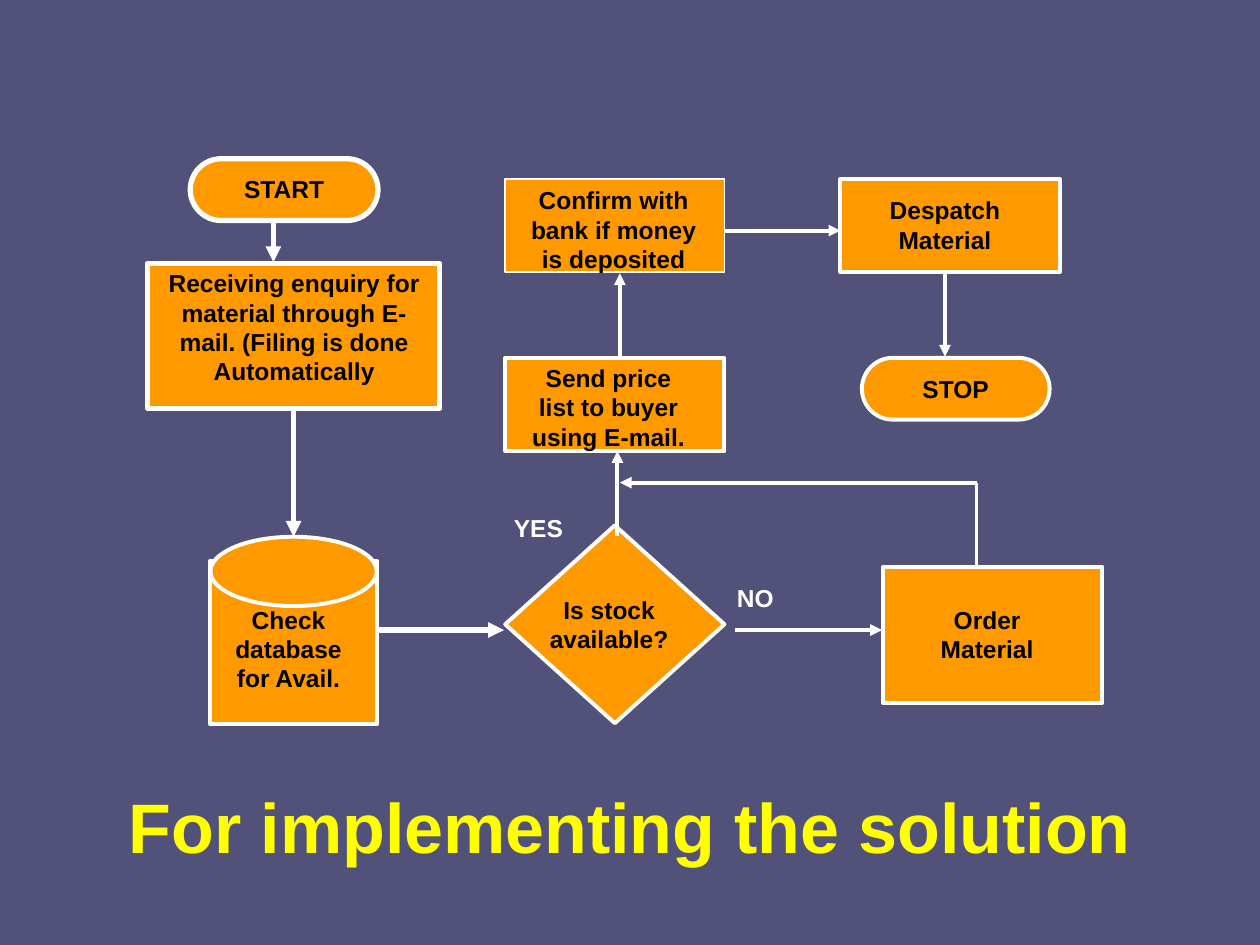
"""Build the order-handling flowchart slide."""
from lxml import etree
from pptx import Presentation, util as u
from pptx.dml.color import RGBColor
from pptx.enum import shapes, text
from pptx.oxml.ns import qn

COLOURS = {"ground": "515179", "node": "FF9900", "line": "FFFFFF",
           "label": "000000", "branch": "FFFFFF", "title": "FFFF00"}
COLUMNS, ROWS = 100, 75
KIND = shapes.MSO_SHAPE


class Flowchart:
    """Slide style and drawing methods, measured in grid columns and rows."""

    def __init__(self, deck):
        self.slide = deck.slides.add_slide(deck.slide_layouts[6])
        self.column = deck.slide_width / COLUMNS
        self.row = deck.slide_height / ROWS
        self.font = "Arial"
        self.paint(self.slide.background.fill, "ground")

    def paint(self, fill, colour):
        fill.solid()
        fill.fore_color.rgb = RGBColor.from_string(COLOURS[colour])

    def grid(self, x, y):
        return round(x * self.column), round(y * self.row)

    def node(self, kind, x, y, width, height, weight=2.25):
        shape = self.slide.shapes.add_shape(
            kind, *self.grid(x, y), *self.grid(width, height))
        shape.shadow.inherit = False
        self.paint(shape.fill, "node")
        self.paint(shape.line.fill, "line")
        shape.line.width = u.Pt(weight)
        if kind == KIND.ROUNDED_RECTANGLE:
            shape.adjustments[0] = 0.5
        return shape

    def label(self, words, x, y, width, height, colour="label", size=14,
              wrap=True):
        box = self.slide.shapes.add_textbox(
            *self.grid(x, y), *self.grid(width, height))
        frame = box.text_frame
        frame.word_wrap = wrap
        frame.auto_size = text.MSO_AUTO_SIZE.SHAPE_TO_FIT_TEXT
        frame.text = words
        paragraph = frame.paragraphs[0]
        paragraph.alignment = (text.PP_ALIGN.CENTER if wrap
                               else text.PP_ALIGN.LEFT)
        font = paragraph.runs[0].font
        font.name, font.size, font.bold = self.font, u.Pt(size), True
        font.color.rgb = RGBColor.from_string(COLOURS[colour])

    def flow(self, start, end, weight=2.25, arrow=True):
        line = self.slide.shapes.add_connector(
            shapes.MSO_CONNECTOR.STRAIGHT, *self.grid(*start), *self.grid(*end))
        self.paint(line.line.fill, "line")
        line.line.width = u.Pt(weight)
        if arrow:
            outline = line.line.fill._xPr
            etree.SubElement(outline, qn("a:tailEnd"), type="triangle")
        etree.SubElement(line._element.spPr, qn("a:effectLst"))
        return line


def main():
    deck = Presentation()
    deck.slide_width, deck.slide_height = u.Inches(10), u.Inches(7.5)
    chart = Flowchart(deck)

    chart.label("For implementing the solution", 0, 61.7, 100, 7.7, "title", 40)

    terminal, step = (14.9, 4.9), (17.4, 7.4)
    chart.node(KIND.ROUNDED_RECTANGLE, 15.1, 12.6, *terminal, weight=3)
    enquiry = chart.node(KIND.RECTANGLE, 11.7, 20.9, 23.2, 11.5, weight=3)
    chart.node(KIND.RECTANGLE, 16.7, 44.5, 13.2, 13)
    database_top = chart.node(KIND.OVAL, 16.7, 42.6, 13.2, 5.5)
    chart.node(KIND.DIAMOND, 40.1, 41.7, 17.4, 15.7)
    chart.node(KIND.RECTANGLE, 70.1, 45, 17.4, 10.8)
    chart.node(KIND.ROUNDED_RECTANGLE, 68.4, 28.4, *terminal)
    chart.node(KIND.RECTANGLE, 40.1, 28.4, *step)
    chart.node(KIND.RECTANGLE, 40.1, 14.2, *step, weight=1)
    chart.node(KIND.RECTANGLE, 66.7, 14.2, *step)

    for words, *place in (
        ("START", 16.7, 13.3, 11.7, 3.3),
        ("Receiving enquiry for material through E- mail. "
         "(Filing is done Automatically", 11.7, 20.8, 23.3, 10.4),
        ("Check database for Avail.", 17.5, 47.5, 10.8, 8),
        ("Is stock available?", 42.5, 46.7, 11.7, 5.7),
        ("Order Material", 71.7, 47.5, 13.3, 5.7),
        ("STOP", 70, 29.2, 11.7, 3.3),
        ("Send price list to buyer using E-mail.", 40.8, 28.3, 15, 8),
        ("Confirm with bank if money is deposited", 40.8, 14.2, 15.8, 8),
        ("Despatch Material", 67.5, 15, 15, 5.7),
    ):
        chart.label(words, *place)
    chart.label("YES", 39.8, 40.2, 5.9, 3.3, "branch", wrap=False)
    chart.label("NO", 57.5, 45.8, 4.9, 3.3, "branch", wrap=False)

    chart.flow((21.7, 17.5), (21.7, 20.8), 3)
    lookup = chart.flow((23.3, 32.5), (23.3, 42.5), 3)
    lookup.begin_connect(enquiry, 2)
    lookup.end_connect(database_top, 0)
    chart.flow((30, 50), (40, 50), 3)
    for start, end in (
        ((49.2, 28.3), (49.2, 21.7)),
        ((57.5, 18.3), (66.7, 18.3)),
        ((75, 21.7), (75, 28.3)),
        ((77.5, 38.3), (49.2, 38.3)),
        ((58.3, 50), (70, 50)),
        ((49, 42.5), (49, 35.8)),
    ):
        chart.flow(start, end)
    chart.flow((77.5, 38.3), (77.5, 45), arrow=False)

    deck.save("out.pptx")


if __name__ == "__main__":
    main()
